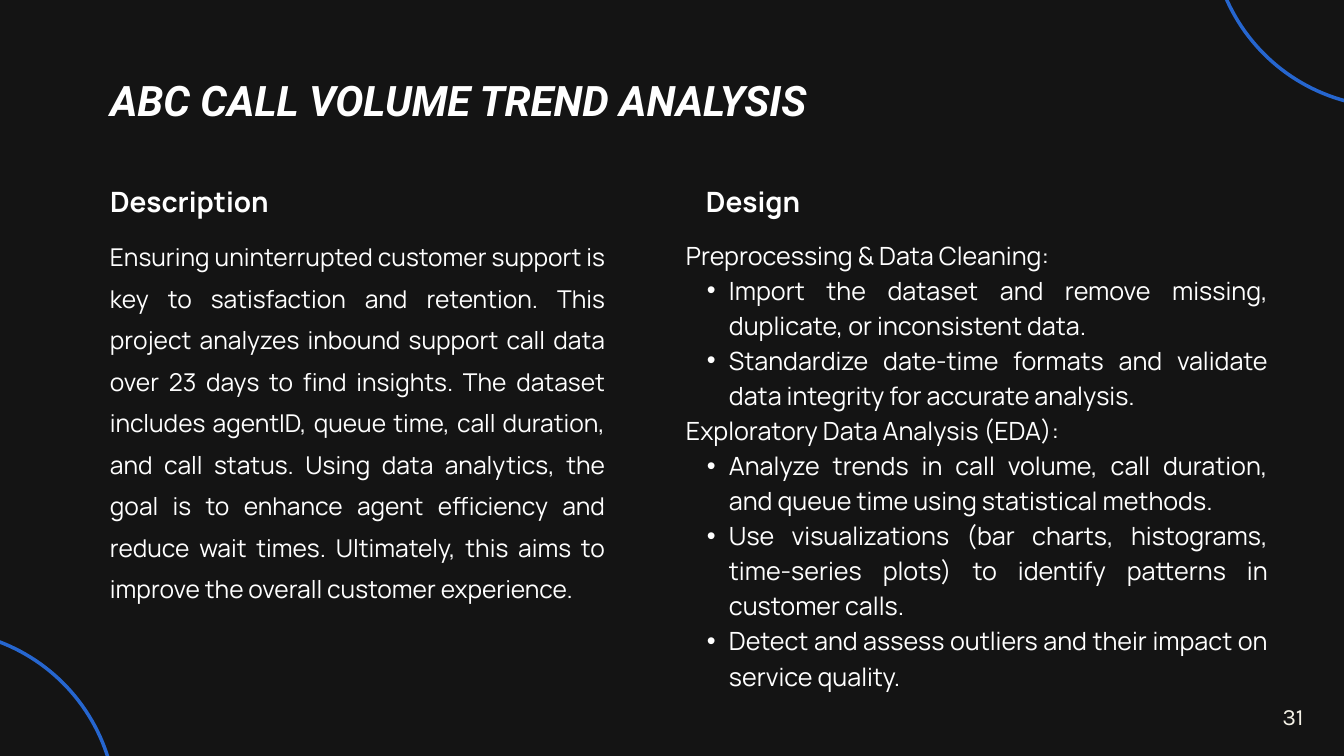
"""Build the call volume trend analysis slide."""
from dataclasses import dataclass

from lxml import etree
from pptx import Presentation
from pptx.dml.color import RGBColor
from pptx.enum.shapes import MSO_SHAPE
from pptx.enum.text import MSO_AUTO_SIZE, PP_ALIGN
from pptx.oxml.ns import qn
from pptx.util import Emu, Pt

OVAL = MSO_SHAPE.OVAL
LEFT, CENTER, JUST = PP_ALIGN.LEFT, PP_ALIGN.CENTER, PP_ALIGN.JUSTIFY
GROW = MSO_AUTO_SIZE.SHAPE_TO_FIT_TEXT
SCALE = 914400 / 67.2


@dataclass(frozen=True)
class Type:
    font: str
    size: float
    lead: float
    color: str = "FFFFFF"
    bold: bool = False
    slant: bool = False


@dataclass(frozen=True)
class Theme:
    ground: str = "141414"
    ring: str = "2666CF"
    stroke: float = 3.75
    title: Type = Type("Roboto", 45, 45.5, bold=True, slant=True)
    head: Type = Type("Manrope", 30, 42, bold=True)
    body: Type = Type("Manrope", 26.3, 44.5)
    list: Type = Type("Manrope", 26.9, 37.6)
    page: Type = Type("Karla", 25, 35, "F5F2E7")


def px(num):
    return Emu(round(num * SCALE))


def rgb(code):
    return RGBColor.from_string(code)


class Deck:
    def __init__(self, theme, width, height):
        self.theme = theme
        self.file = Presentation()
        self.file.slide_width, self.file.slide_height = px(width), px(height)
        self.slide = self.file.slides.add_slide(self.file.slide_layouts[6])
        fill = self.slide.background.fill
        fill.solid()
        fill.fore_color.rgb = rgb(theme.ground)

    def ring(self, left, top, size):
        ring = self.slide.shapes.add_shape(OVAL, *map(px, (left, top, size, size)))
        ring.shadow.inherit = False
        ring.fill.background()
        ring.line.color.rgb = rgb(self.theme.ring)
        ring.line.width = Pt(self.theme.stroke)

    def text(self, box, style, items, align=JUST):
        frame = self.slide.shapes.add_textbox(*map(px, box)).text_frame
        frame.word_wrap = True
        frame.auto_size = GROW
        frame.margin_left = frame.margin_right = 0
        frame.margin_top = frame.margin_bottom = 0
        for i, (text, level) in enumerate(items):
            para = frame.add_paragraph() if i else frame.paragraphs[0]
            if level:
                self.bullet(para, level)
            para.alignment = align
            para.line_spacing = Pt(style.lead)
            self.run(para, text, style)

    def bullet(self, para, level):
        para.level = level
        props = para._p.get_or_add_pPr()
        props.set("marL", str(px(43)))
        props.set("indent", str(px(-22)))
        etree.SubElement(props, qn("a:buFont")).set("typeface", "Arial")
        etree.SubElement(props, qn("a:buChar")).set("char", "•")

    def run(self, para, text, style):
        run = para.add_run()
        run.text = text
        font = run.font
        font.name, font.size = style.font, Pt(style.size)
        font.bold, font.italic = style.bold, style.slant
        font.color.rgb = rgb(style.color)

    def save(self):
        self.file.save("out.pptx")


ABOUT = (
    "Ensuring uninterrupted customer support is key to satisfaction and retention. "
    "This project analyzes inbound support call data over 23 days to find insights. "
    "The dataset includes agentID, queue time, call duration, and call status. "
    "Using data analytics, the goal is to enhance agent efficiency and reduce wait times. "
    "Ultimately, this aims to improve the overall customer experience."
)
STEPS = [
    ("Preprocessing & Data Cleaning:", 0),
    ("Import the dataset and remove missing, duplicate, or inconsistent data.", 1),
    ("Standardize date-time formats and validate data integrity for accurate analysis.", 1),
    ("Exploratory Data Analysis (EDA):", 0),
    ("Analyze trends in call volume, call duration, and queue time using statistical methods.", 1),
    ("Use visualizations (bar charts, histograms, time-series plots) to identify patterns "
     "in customer calls.", 1),
    ("Detect and assess outliers and their impact on service quality.", 1),
]


def main():
    theme = Theme()
    deck = Deck(theme, 1344, 756)
    deck.text((110, 82, 1193, 42), theme.title,
              [("ABC CALL VOLUME TREND ANALYSIS", 0)], LEFT)
    for left, name in ((110, "Description"), (706, "Design")):
        deck.text((left, 179, 521, 40), theme.head, [(name, 0)])
    for left, top in ((1211, -255), (-246, 630)):
        deck.ring(left, top, 362)
    deck.text((110, 230, 495, 453), theme.body, [(ABOUT, 0)])
    deck.text((686, 235, 582, 491), theme.list, STEPS)
    deck.text((1280, 698, 26, 32), theme.page, [("31", 0)], CENTER)
    deck.save()


if __name__ == "__main__":
    main()
